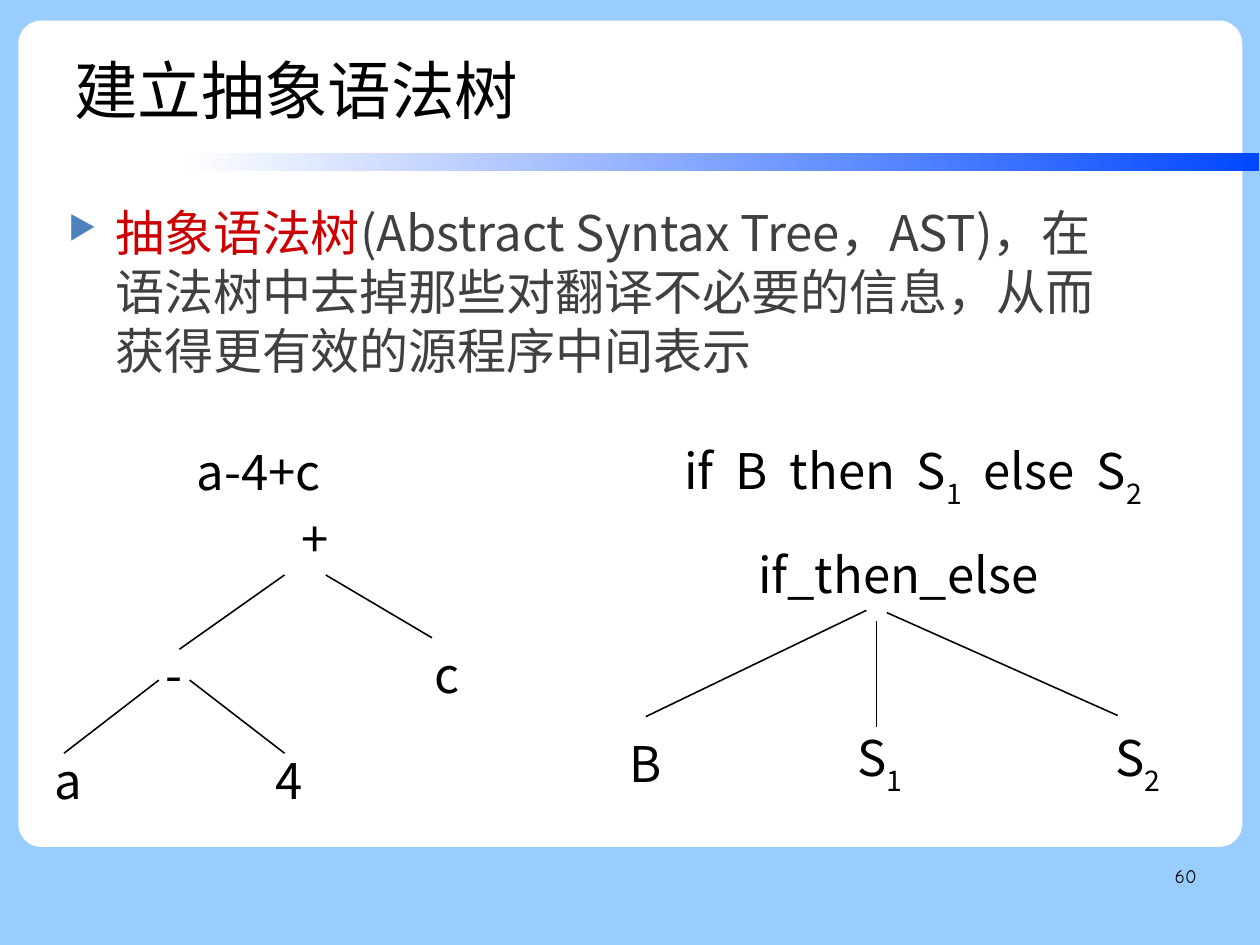
import pptx
import pptx.util
import pptx.dml.color
import pptx.enum.shapes
import pptx.enum.text
import pptx.oxml
import pptx.oxml.ns

PX = 9144
SLIDE_SIZE = (10080625, 7559675)
FONT, NUMBER_FONT = "Noto Sans CJK SC", "Comic Neue"
SIZE = 30.9
COLORS = {"sky": "99CCFF", "panel": "FFFFFF", "bar": "0047FF", "ink": "000000",
          "body": "404040", "term": "CC0000", "bullet": "4F81BD"}

TITLE = "建立抽象语法树"
DEFINITION = [
    ("抽象语法树", "term"),
    ("(Abstract Syntax Tree，AST)，在语法树中去掉那些对翻译不必要的信息，从而获得更有效的源程序中间表示", "body"),
]
PAGE = "60"

EXPRESSIONS = [
    (226, 412, 151, [("a-4+c", False)]),
    (799, 416, 460, [("if  B  then  S", False), ("1", True),
                     ("  else  S", False), ("2", True)]),
]
TREES = [
    {"nodes": [(565, 667, 110, [("B", False)]),
               (770, 667, 122, [("S", False), ("1", True)]),
               (995, 667, 95, [("S", False), ("2", True)]),
               (786, 502, 294, [("if_then_else", False)])],
     "edges": [(758, 534, 565, 627), (767, 543, 767, 636), (776, 536, 978, 626)]},
    {"nodes": [(276, 471, 294, [("+", False)]),
               (152, 590, 138, [("-", False)]),
               (391, 590, 138, [("c", False)]),
               (60, 682, 120, [("a", False)]),
               (253, 682, 138, [("4", False)])],
     "edges": [(249, 503, 157, 568), (285, 503, 378, 558),
               (139, 595, 56, 659), (166, 595, 249, 659)]},
]


def emu(*lengths):
    return [n * PX for n in lengths]


def rgb(name):
    return pptx.dml.color.RGBColor.from_string(COLORS[name])


def add_run(p, text, size=SIZE, color="ink", font=FONT, sub=False):
    r = p.add_run()
    r.text = text
    r.font.size = pptx.util.Pt(size)
    r.font.name = font
    r.font.color.rgb = rgb(color)
    rPr = r._r.get_or_add_rPr()
    ea = pptx.oxml.parse_xml(f'<a:ea {pptx.oxml.ns.nsdecls("a")} typeface="{font}"/>')
    rPr.find(pptx.oxml.ns.qn("a:latin")).addnext(ea)
    if sub:
        rPr.set("baseline", "-30000")


def add_label(shapes, cx, cy, width, runs, height=64):
    sp = shapes.add_textbox(*emu(cx - width // 2, cy - height // 2, width, height))
    tf = sp.text_frame
    tf.word_wrap = False
    tf.vertical_anchor = pptx.enum.text.MSO_ANCHOR.MIDDLE
    p = tf.paragraphs[0]
    p.alignment = pptx.enum.text.PP_ALIGN.CENTER
    for text, sub in runs:
        add_run(p, text, sub=sub)


def add_edge(shapes, *ends):
    line = shapes.add_connector(pptx.enum.shapes.MSO_CONNECTOR.STRAIGHT, *emu(*ends))
    line.line.color.rgb = rgb("ink")
    line.line.width = pptx.util.Pt(1)
    line._element.spPr.append(
        pptx.oxml.parse_xml(f'<a:effectLst {pptx.oxml.ns.nsdecls("a")}/>'))


def add_backdrop(s, kind, box, position):
    sp = s.shapes.add_shape(kind, *emu(*box))
    sp.shadow.inherit = False
    sp.line.fill.background()
    s.shapes.element.insert(position, sp._element)
    return sp


def add_title(s):
    sp = s.shapes.title
    sp.left, sp.top, sp.width, sp.height = emu(55, 33, 858, 101)
    tf = sp.text_frame
    tf.word_wrap = True
    tf.vertical_anchor = pptx.enum.text.MSO_ANCHOR.TOP
    p = tf.paragraphs[0]
    p.alignment = pptx.enum.text.PP_ALIGN.LEFT
    p.line_spacing = 1.1
    add_run(p, TITLE, 40)


def add_definition(s):
    tf = s.shapes.add_textbox(*emu(50, 172, 951, 525)).text_frame
    tf.word_wrap = True
    p = tf.paragraphs[0]
    pPr = p._p.get_or_add_pPr()
    pPr.set("marL", str(41 * PX))
    pPr.set("indent", str(-41 * PX))
    ns = pptx.oxml.ns.nsdecls("a")
    for xml in (f'<a:buClr {ns}><a:srgbClr val="{COLORS["bullet"]}"/></a:buClr>',
                f'<a:buSzPct {ns} val="65000"/>',
                f'<a:buChar {ns} char="▶"/>'):
        pPr.append(pptx.oxml.parse_xml(xml))
    for text, color in DEFINITION:
        add_run(p, text, color=color)


def add_page_number(s):
    tf = s.shapes.add_textbox(*emu(790, 753, 257, 57)).text_frame
    tf.word_wrap = True
    tf.margin_left = tf.margin_right = tf.margin_top = tf.margin_bottom = 0
    p = tf.paragraphs[0]
    p.alignment = pptx.enum.text.PP_ALIGN.RIGHT
    p.line_spacing = 1.16
    add_run(p, PAGE, 12, font=NUMBER_FONT)


def main():
    prs = pptx.Presentation()
    prs.slide_width, prs.slide_height = SLIDE_SIZE
    s = prs.slides.add_slide(prs.slide_layouts[5])
    s.background.fill.solid()
    s.background.fill.fore_color.rgb = rgb("sky")

    kinds = pptx.enum.shapes.MSO_SHAPE
    panel = add_backdrop(s, kinds.ROUNDED_RECTANGLE, (16, 18, 1071, 723), 2)
    panel.adjustments[0] = 0.028
    panel.fill.solid()
    panel.fill.fore_color.rgb = rgb("panel")
    bar = add_backdrop(s, kinds.RECTANGLE, (157, 134, 945, 16), 3)
    bar.fill.gradient()
    bar.fill.gradient_angle = 0
    for stop, color, position in zip(bar.fill.gradient_stops, ("panel", "bar"), (0, 1)):
        stop.color.rgb = rgb(color)
        stop.position = position

    add_title(s)
    add_page_number(s)
    add_definition(s)
    for label in EXPRESSIONS:
        add_label(s.shapes, *label)
    for tree in TREES:
        shapes = s.shapes.add_group_shape().shapes
        for edge in tree["edges"]:
            add_edge(shapes, *edge)
        for node in tree["nodes"]:
            add_label(shapes, *node)
    prs.save("out.pptx")


if __name__ == "__main__":
    main()
